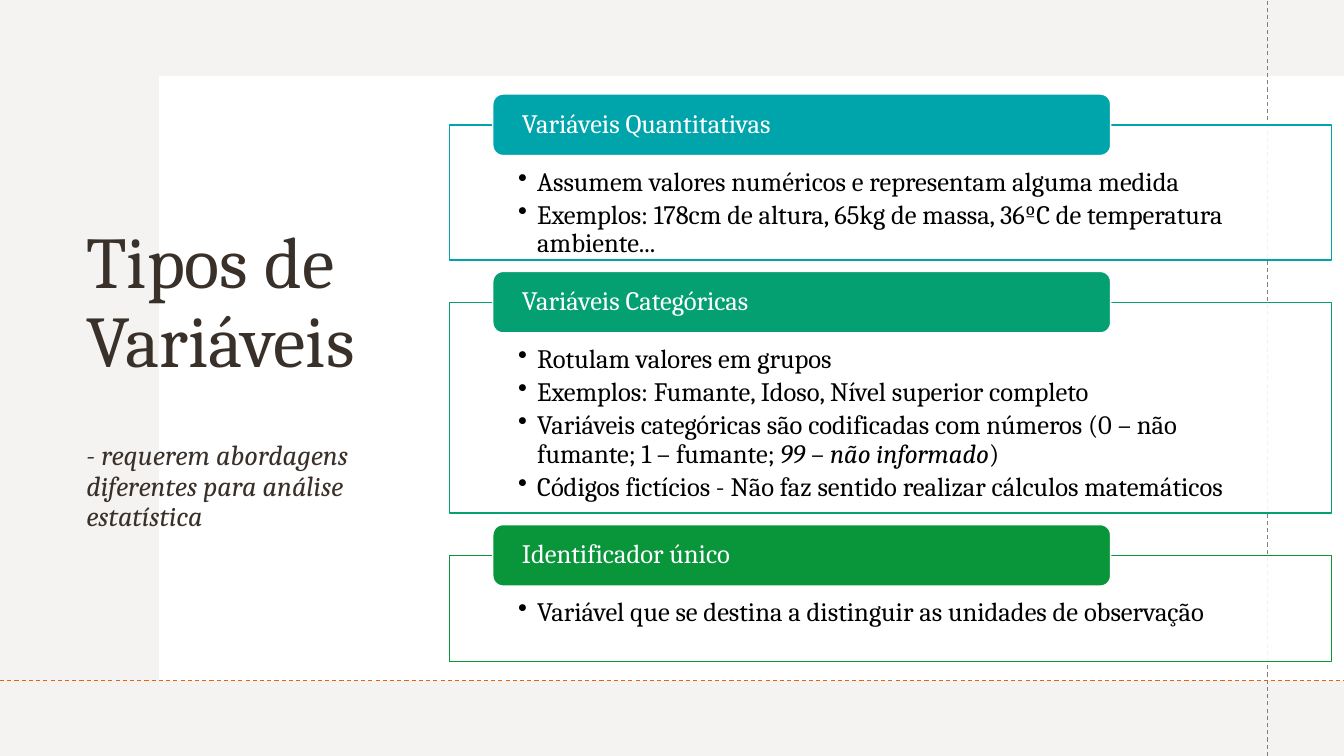
from lxml.etree import SubElement
from pptx import Presentation
from pptx.dml.color import RGBColor
from pptx.enum.dml import MSO_LINE
from pptx.enum.shapes import MSO_CONNECTOR, MSO_SHAPE
from pptx.enum.text import MSO_ANCHOR, PP_ALIGN
from pptx.oxml.ns import qn
from pptx.util import Cm, Pt

WHITE = RGBColor(0xFF, 0xFF, 0xFF)
BLACK = RGBColor(0, 0, 0)
SAND = RGBColor(0xE5, 0xDE, 0xDB)
BROWN = RGBColor(0x39, 0x30, 0x2A)
ORANGE = RGBColor(0xE4, 0x65, 0x0E)
GRAY = RGBColor(0x7F, 0x7F, 0x7F)
TEAL = RGBColor(0x00, 0xA5, 0xAB)
JADE = RGBColor(0x05, 0xA0, 0x71)
GREEN = RGBColor(0x09, 0x96, 0x3B)
WIDE, HIGH = 33.87, 19.05

deck = Presentation()
deck.slide_width, deck.slide_height = Cm(WIDE), Cm(HIGH)
slide = deck.slides.add_slide(deck.slide_layouts[6])
shapes = slide.shapes


def panel(left, top, width, height, fill, kind=MSO_SHAPE.RECTANGLE, line=None, alpha=100):
    shape = shapes.add_shape(kind, Cm(left), Cm(top), Cm(width), Cm(height))
    shape.shadow.inherit = False
    shape.fill.solid()
    shape.fill.fore_color.rgb = fill
    if alpha < 100:
        color = shape.fill._xPr.find(qn("a:solidFill"))[0]
        SubElement(color, qn("a:alpha")).set("val", str(alpha * 1000))
    if line is None:
        shape.line.fill.background()
    else:
        shape.line.color.rgb = line
        shape.line.width = Pt(1)
    return shape


def write(shape, text, sizes=(19,), color=BLACK, inset=(0.25, 0.13),
          anchor=MSO_ANCHOR.MIDDLE, bullet=False, after=0):
    frame = shape.text_frame
    frame.word_wrap = True
    frame.vertical_anchor = anchor
    frame.margin_left = frame.margin_right = Cm(inset[0])
    frame.margin_top, frame.margin_bottom = Cm(inset[1]), Cm(inset[-1])
    for row, words in enumerate(text.split("\n")):
        para = frame.add_paragraph() if row else frame.paragraphs[0]
        if bullet:
            props = para._p.get_or_add_pPr()
            props.set("marL", str(Cm(0.48)))
            props.set("indent", str(-Cm(0.48)))
            SubElement(props, qn("a:buChar")).set("char", "•")
        para.alignment = PP_ALIGN.LEFT
        para.line_spacing = 0.9
        para.space_after = Pt(after)
        for part, piece in enumerate(words.split("*")):
            if piece:
                run = para.add_run()
                run.text = piece
                run.font.name = "Cambria"
                run.font.size = Pt(sizes[min(row, len(sizes) - 1)])
                run.font.italic = part % 2 == 1
                run.font.color.rgb = color


panel(0, 0, WIDE, HIGH, SAND, alpha=35)
panel(4.01, 1.91, WIDE - 4.01, 15.24, WHITE)

title = shapes.add_textbox(Cm(1.93), Cm(2.64), Cm(8.51), Cm(13.82))
write(title, "Tipos de Variáveis\n*- requerem abordagens diferentes para análise estatística*",
      sizes=(52, 20), color=BROWN)
title.text_frame.paragraphs[1].space_before = Pt(42)

for x1, y1, x2, y2, color in (
    (31.93, HIGH, 31.93, 0, GRAY),
    (0, 17.15, WIDE, 17.15, ORANGE),
):
    guide = shapes.add_connector(MSO_CONNECTOR.STRAIGHT, Cm(x1), Cm(y1), Cm(x2), Cm(y2))
    guide.line.color.rgb = color
    guide.line.width = Pt(0.75)
    guide.line.dash_style = MSO_LINE.DASH
    SubElement(guide._element.spPr, qn("a:effectLst"))

cards = (
    ("Variáveis Quantitativas", TEAL, 3.4,
     "Assumem valores numéricos e representam alguma medida\n"
     "Exemplos: 178cm de altura, 65kg de massa, 36ºC de temperatura ambiente..."),
    ("Variáveis Categóricas", JADE, 5.31,
     "Rotulam valores em grupos\n"
     "Exemplos: Fumante, Idoso, Nível superior completo\n"
     "Variáveis categóricas são codificadas com números "
     "(0 – não fumante; 1 – fumante; *99 – não informado*)\n"
     "Códigos fictícios - Não faz sentido realizar cálculos matemáticos"),
    ("Identificador único", GREEN, 2.67,
     "Variável que se destina a distinguir as unidades de observação"),
)
top = 3.15
for name, color, height, body in cards:
    frame = panel(11.33, top, 22.23, height, WHITE, line=color, alpha=90)
    write(frame, body, inset=(1.73, 1.09, 0.38), anchor=MSO_ANCHOR.TOP, bullet=True, after=3)
    head = panel(12.42, top - 0.78, 15.57, 1.55, color,
                 kind=MSO_SHAPE.ROUNDED_RECTANGLE, line=WHITE)
    write(head, name, color=WHITE, inset=(0.66, 0))
    top += height + 1.07

deck.save("out.pptx")
